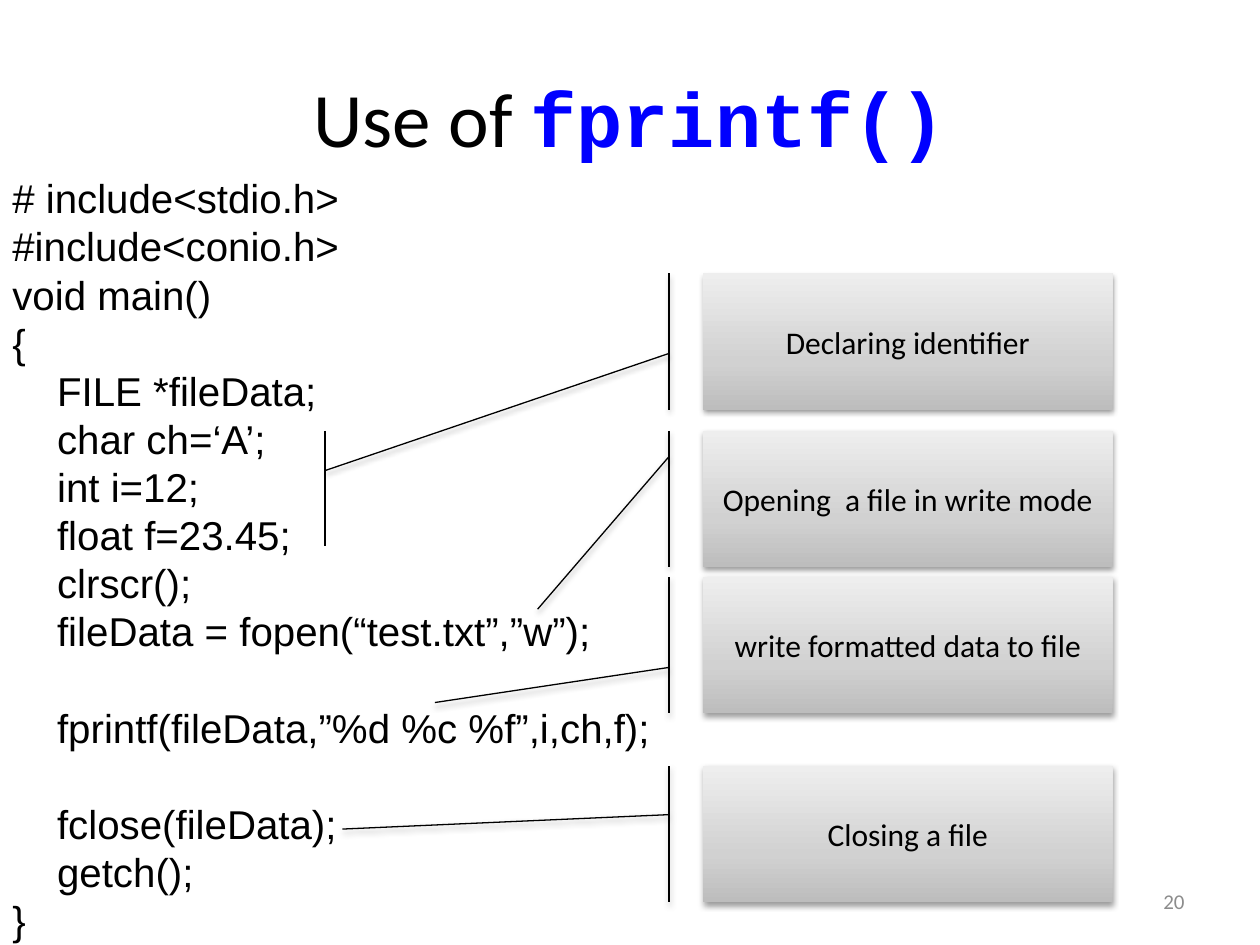
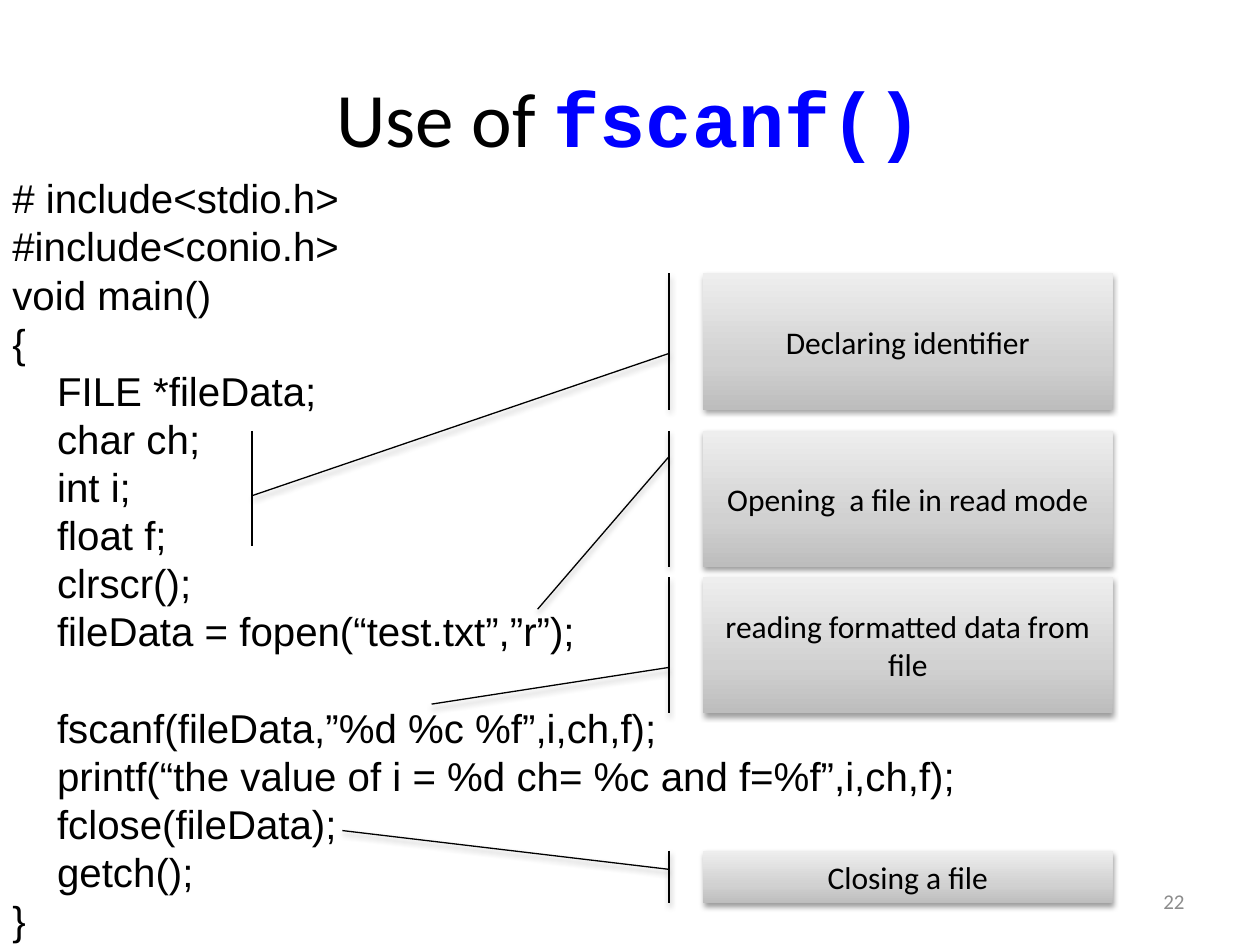
from copy import deepcopy

from lxml import etree
from pptx import Presentation
from pptx.dml.color import RGBColor
from pptx.enum.shapes import MSO_CONNECTOR, MSO_SHAPE
from pptx.enum.text import MSO_ANCHOR, PP_ALIGN
from pptx.oxml.ns import qn
from pptx.util import Inches, Pt

STRAIGHT = MSO_CONNECTOR.STRAIGHT
CALLOUT = MSO_SHAPE.LINE_CALLOUT_1_ACCENT_BAR
MIDDLE = MSO_ANCHOR.MIDDLE
CENTER, RIGHT = PP_ALIGN.CENTER, PP_ALIGN.RIGHT
TITLE_ONLY = 5

COLORS = {"ink": "000000", "function": "0000FF", "page": "8C8C8C",
          "bottom": "BDBDBD", "middle": "D1D1D1", "top": "EEEEEE"}
GRADIENT = [(0, "bottom"), (0.35, "middle"), (1, "top")]
CODE_LINE = Pt(27.5)
CODE_INDENT = Inches(0.355)
PREAMBLE = ["# include<stdio.h>", "#include<conio.h>", "void main()"]
NOTE_LEFT, NOTE_WIDTH, NOTE_HEIGHT = 5.58, 3.25, 1.08
BAR_OFFSET = -0.083
BRACKET_TOP, BRACKET_BOTTOM = 3.42, 4.33

SLIDES = [
    {"function": "fprintf()", "page": "20", "bracket": 2.58,
     "body": ["FILE *fileData;", "char ch=‘A’;", "int i=12;", "float f=23.45;",
              "clrscr();", "fileData = fopen(“test.txt”,”w”);", "",
              "fprintf(fileData,”%d %c %f”,i,ch,f);", "",
              "fclose(fileData);", "getch();"],
     "notes": [("write formatted data to file", 4.58, NOTE_HEIGHT, (0.664, 0.922, -0.655)),
               ("Opening  a file in write mode", 3.42, NOTE_HEIGHT, (0.188, 1.31, -0.404)),
               ("Closing a file", 6.08, NOTE_HEIGHT, (0.357, 0.463, -0.881)),
               ("Declaring identifier", 2.17, NOTE_HEIGHT, (0.588, 1.448, -0.922))]},
    {"function": "fscanf()", "page": "22", "bracket": 2,
     "body": ["FILE *fileData;", "char ch;", "int i;", "float f;",
              "clrscr();", "fileData = fopen(“test.txt”,”r”);", "",
              "fscanf(fileData,”%d %c %f”,i,ch,f);",
              "printf(“the value of i = %d ch= %c and f=%f”,i,ch,f);",
              "fclose(fileData);", "getch();"],
     "notes": [("reading formatted data from file", 4.58, NOTE_HEIGHT, (0.664, 0.934, -0.663)),
               ("Opening  a file in read mode", 3.42, NOTE_HEIGHT, (0.188, 1.31, -0.404)),
               ("Closing a file", 6.75, 0.42, (0.357, -0.377, -0.881)),
               ("Declaring identifier", 2.17, NOTE_HEIGHT, (0.588, 1.633, -1.101))]},
]


def color(name):
    """Return the named palette colour."""
    return RGBColor.from_string(COLORS[name])


def set_font(font, face, size, ink="ink"):
    """Give a font its face, size and colour."""
    font.name, font.size = face, Pt(size)
    font.color.rgb = color(ink)


def set_title(slide, function):
    """Write the heading with the function name in bold code style."""
    heading = slide.shapes.title
    heading.left, heading.top, heading.width, heading.height = map(
        Inches, (0.5, 0.3, 9, 1.25))
    heading.text_frame.vertical_anchor = MIDDLE
    paragraph = heading.text_frame.paragraphs[0]
    paragraph.alignment = CENTER
    for words, face, ink in (("Use of ", "Calibri", "ink"),
                             (function, "Courier New", "function")):
        run = paragraph.add_run()
        run.text = words
        set_font(run.font, face, 44, ink)
        run.font.bold = ink == "function"


def add_code(slide, body, left, top, width, height):
    """List a program, indenting the body and spacing out its groups."""
    frame = slide.shapes.add_textbox(*map(Inches, (left, top, width, height))).text_frame
    frame.word_wrap = True
    lines = [(line, 0) for line in PREAMBLE + ["{"]]
    lines += [(line, CODE_INDENT) for line in body] + [("}", 0)]
    paragraph, gap = frame.paragraphs[0], 0
    for number, (line, indent) in enumerate(lines):
        if not line:
            gap = CODE_LINE
            continue
        if number:
            paragraph = frame.add_paragraph()
        paragraph.text = line
        paragraph.line_spacing = CODE_LINE
        paragraph.space_before = gap
        paragraph._p.get_or_add_pPr().set("marL", str(indent))
        set_font(paragraph.font, "Arial", 23)
        gap = 0


def fill_gradient(shape):
    """Shade a shape from dark at the bottom to light at the top."""
    shape.fill.gradient()
    shape.fill.gradient_angle = 90
    first = shape._element.spPr.xpath(".//a:gs")[0]
    first.addnext(deepcopy(first))
    for stop, (position, name) in zip(shape.fill.gradient_stops, GRADIENT):
        stop.position = position
        stop.color.rgb = color(name)


def add_shadow(shape):
    """Drop a soft shadow below a shape."""
    shape.shadow.inherit = False
    effects = shape._element.spPr.find(qn("a:effectLst"))
    shadow = etree.SubElement(effects, qn("a:outerShdw"), blurRad="40000",
                              dist="20000", dir="5400000", rotWithShape="0")
    black = etree.SubElement(shadow, qn("a:srgbClr"), val=COLORS["ink"])
    etree.SubElement(black, qn("a:alpha"), val="38000")


def add_note(slide, words, top, height, leader):
    """Add a callout whose leader is given as start y, end y and end x."""
    note = slide.shapes.add_shape(
        CALLOUT, *map(Inches, (NOTE_LEFT, top, NOTE_WIDTH, height)))
    start_y, end_y, end_x = leader
    for index, value in enumerate((start_y, BAR_OFFSET, end_y, end_x)):
        note.adjustments[index] = value
    fill_gradient(note)
    note.line.color.rgb = color("ink")
    note.line.width = Pt(0.75)
    add_shadow(note)
    frame = note.text_frame
    frame.word_wrap = True
    frame.vertical_anchor = MIDDLE
    paragraph = frame.paragraphs[0]
    paragraph.text = words
    paragraph.alignment = CENTER
    set_font(paragraph.font, "Calibri", 18)


def add_bracket(slide, x):
    """Draw the upright line beside the declarations."""
    bracket = slide.shapes.add_connector(
        STRAIGHT, *map(Inches, (x, BRACKET_TOP, x, BRACKET_BOTTOM)))
    bracket.line.color.rgb = color("ink")
    bracket.line.width = Pt(0.75)
    etree.SubElement(bracket._element.spPr, qn("a:effectLst"))


def add_page_number(slide, page, left, top, width, height):
    """Write the page number at the lower right."""
    frame = slide.shapes.add_textbox(*map(Inches, (left, top, width, height))).text_frame
    frame.word_wrap = True
    frame.vertical_anchor = MIDDLE
    paragraph = frame.paragraphs[0]
    paragraph.text = page
    paragraph.alignment = RIGHT
    set_font(paragraph.font, "Calibri", 12, "page")


def add_example(deck, example):
    """Build one annotated program slide."""
    slide = deck.slides.add_slide(deck.slide_layouts[TITLE_ONLY])
    set_title(slide, example["function"])
    add_code(slide, example["body"], 0, 1.33, 10, 6.29)
    for note in example["notes"]:
        add_note(slide, *note)
    add_bracket(slide, example["bracket"])
    add_page_number(slide, example["page"], 7.17, 6.95, 2.33, 0.4)


def main():
    """Build and save the deck."""
    deck = Presentation()
    deck.slide_width, deck.slide_height = Inches(10), Inches(7.5)
    for example in SLIDES:
        add_example(deck, example)
    deck.save("out.pptx")


if __name__ == "__main__":
    main()
